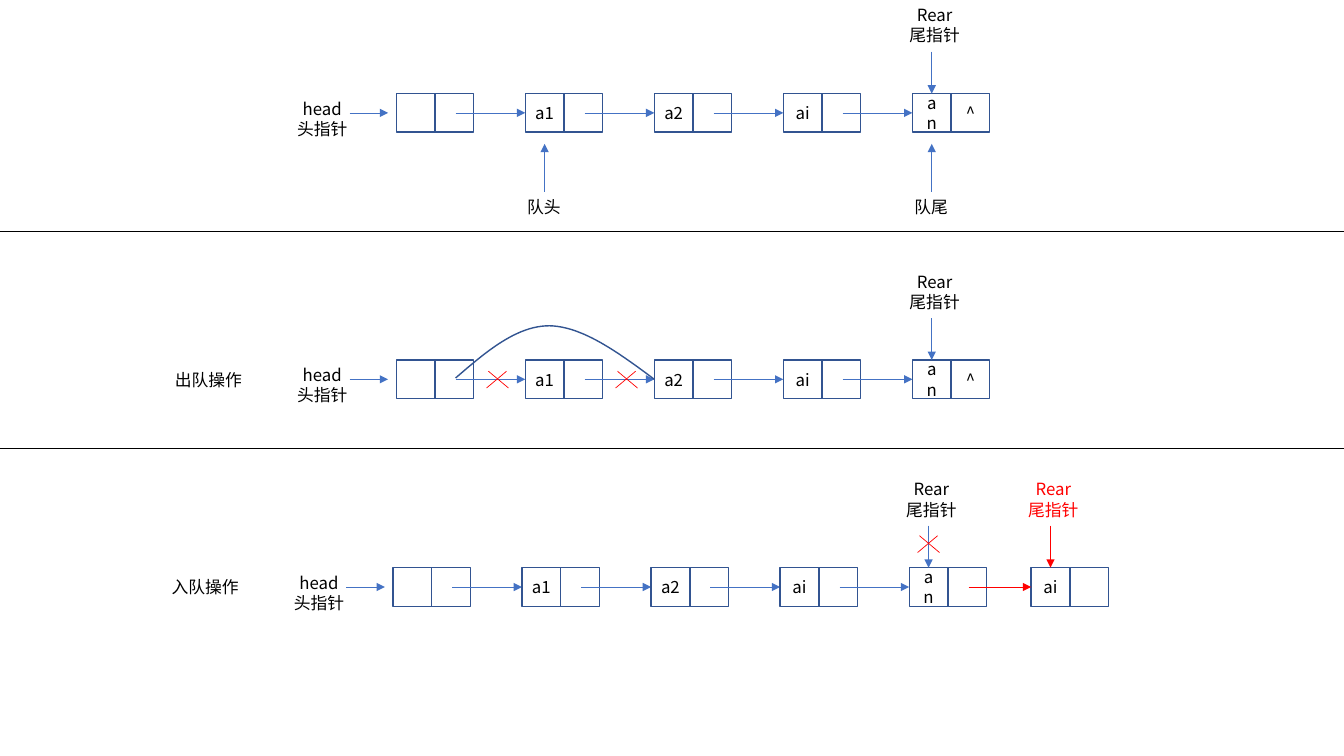
from lxml import etree
from pptx import Presentation, util as u
from pptx.dml.color import RGBColor
from pptx.enum import shapes, text
from pptx.oxml.ns import qn

COLORS = {"ink": "000000", "box": "325491", "arrow": "4472C4", "alert": "FF0000"}
FONT = "Noto Sans CJK SC"
UNIT = 0.064
CELL, PITCH = 6, 20
MID, LINK = CELL / 2, 9.2
LAST = 4 * PITCH
NEW = LAST + 18.9


def at(*units):
    return [u.Inches(n * UNIT) for n in units]


def rgb(name):
    return RGBColor.from_string(COLORS[name])


def set_all(obj, values):
    for name, value in values.items():
        setattr(obj, name, value)


def write(tf, words, color="ink"):
    tf.text = words
    for p in tf.paragraphs:
        p.alignment = text.PP_ALIGN.CENTER
        for r in p.runs:
            set_all(r.font, {"size": u.Pt(12), "name": FONT})
            r.font.color.rgb = rgb(color)
            ea = etree.SubElement(r.font._element, qn("a:ea"))
            ea.set("typeface", FONT)


def outline(sp):
    sp.shadow.inherit = False
    sp.fill.background()
    sp.line.color.rgb = rgb("box")
    sp.line.width = u.Pt(1)


def label(s, x, y, w, h, words, color="ink"):
    tf = s.shapes.add_textbox(*at(x, y, w, h)).text_frame
    set_all(tf, {"word_wrap": False, "auto_size": text.MSO_AUTO_SIZE.SHAPE_TO_FIT_TEXT})
    write(tf, words, color)


def line(s, x1, y1, x2, y2, color="arrow", head=True):
    c = s.shapes.add_connector(shapes.MSO_CONNECTOR.STRAIGHT, *at(x1, y1, x2, y2))
    c.line.color.rgb = rgb(color)
    c.line.width = u.Pt(0.5)
    if head:
        etree.SubElement(c.line._get_or_add_ln(), qn("a:tailEnd")).set("type", "triangle")
    etree.SubElement(c._element.spPr, qn("a:effectLst"))


def node(s, x, y, value, pointer=""):
    for i, words in enumerate((value, pointer)):
        sp = s.shapes.add_shape(shapes.MSO_SHAPE.RECTANGLE, *at(x + i * CELL, y, CELL, CELL))
        outline(sp)
        sp.text_frame.vertical_anchor = text.MSO_ANCHOR.MIDDLE
        if words:
            write(sp.text_frame, words)


def rear(s, x, y, color="ink", arrow="arrow"):
    label(s, x - 2.1, y - 14.5, 11.1, 7.8, "Rear\n尾指针", color)
    line(s, x + MID, y - 6.5, x + MID, y, arrow)


def cross(s, x, y):
    for side in (1, -1):
        line(s, x + side * 1.4, y - 1.25, x - side * 1.7, y + 1.35, "alert", False)


def queue(s, x, y, end="", title=None):
    for i, value in enumerate(("", "a1", "a2", "ai", "an")):
        left = x + i * PITCH
        node(s, left, y, value, end if value == "an" else "")
        if value != "an":
            line(s, left + LINK, y + MID, left + PITCH, y + MID)
    label(s, x - 17, y, 11.1, 7.8, "head\n头指针")
    line(s, x - 7.2, y + MID, x - 1.25, y + MID)
    rear(s, x + LAST, y)
    if title:
        label(s, x - 36, y + 0.7, 13.8, 4.7, title)


def bezier(p0, p1, p2, p3, steps=24):
    for k in range(1, steps + 1):
        t = k / steps
        yield tuple((1 - t) ** 3 * a + 3 * t * (1 - t) ** 2 * b + 3 * t * t * (1 - t) * c + t ** 3 * d
                    for a, b, c, d in zip(p0, p1, p2, p3))


def bypass(s, x, y):
    start, top, stop = (LINK, 2.8), (23.75, -5.3), (2 * PITCH, MID)
    points = [*bezier(start, (13.9, -1.25), (18.6, -5.3), top),
              *bezier(top, (28.9, -5.2), (34.5, -1.1), stop)]
    fb = s.shapes.build_freeform(*at(x + start[0], y + start[1]))
    fb.add_line_segments([at(x + px, y + py) for px, py in points], close=False)
    outline(fb.convert_to_shape())


def overview(s, x, y):
    queue(s, x, y, "^")
    for left, words in ((x + PITCH, "队头"), (x + LAST, "队尾")):
        line(s, left + MID, y + 15.2, left + MID, y + 7.8)
        label(s, left - 1.3, y + 15.2, 8.4, 4.7, words)


def dequeue(s, x, y):
    queue(s, x, y, "^", "出队操作")
    bypass(s, x, y)
    for i in range(2):
        cross(s, x + 15.7 + i * PITCH, y + MID)


def enqueue(s, x, y):
    queue(s, x, y, title="入队操作")
    node(s, x + NEW, y, "ai")
    line(s, x + LAST + LINK, y + MID, x + NEW, y + MID, "alert")
    rear(s, x + NEW, y, "alert", "alert")
    cross(s, x + LAST + MID, y - 3.7)


def main():
    prs = Presentation()
    set_all(prs, {"slide_width": u.Inches(13.33), "slide_height": u.Inches(7.5)})
    s = prs.slides.add_slide(prs.slide_layouts[6])
    overview(s, 61.4, 14.5)
    dequeue(s, 61.4, 55.8)
    enqueue(s, 60.9, 88)
    for y in (35.8, 69.5):
        line(s, 0, y, 13.33 / UNIT, y, "ink", False)
    prs.save("out.pptx")


if __name__ == "__main__":
    main()
